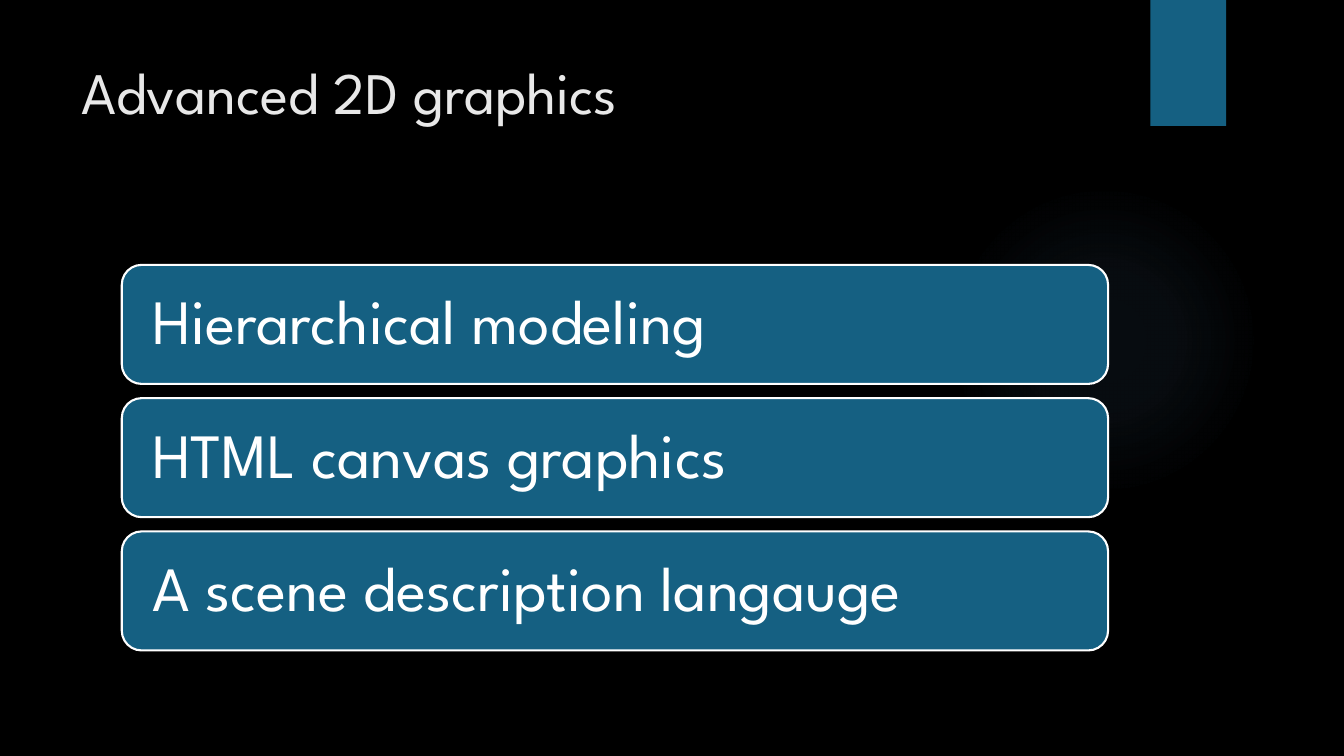
from pptx import Presentation
from pptx.dml.color import RGBColor
from pptx.enum import shapes, text
from pptx.oxml import parse_xml
from pptx.oxml.ns import nsdecls
from pptx.util import Pt

COLORS = {"back": "000000", "blue": "156082", "glow": "71AAE0",
          "title": "E8E8E8", "white": "FFFFFF"}
FONT = "League Spartan"


def color(name):
    return RGBColor.from_string(COLORS[name])


def write(shape, words, size=45, ink="white", anchor=text.MSO_ANCHOR.MIDDLE,
          inset=(7.2, 3.6), spacing=1.0):
    frame = shape.text_frame
    frame.word_wrap = True
    frame.vertical_anchor = anchor
    frame.margin_left = frame.margin_right = Pt(inset[0])
    frame.margin_top = frame.margin_bottom = Pt(inset[1])
    para = frame.paragraphs[0]
    para.alignment = text.PP_ALIGN.LEFT
    para.line_spacing = spacing
    run = para.add_run()
    run.text = words
    run.font.name = FONT
    run.font.size = Pt(size)
    run.font.color.rgb = color(ink)


class Deck:
    def __init__(self, width, height):
        self.prs = Presentation()
        self.prs.slide_width, self.prs.slide_height = Pt(width), Pt(height)
        self.slide = self.prs.slides.add_slide(self.prs.slide_layouts[6])
        fill = self.slide.background.fill
        fill.solid()
        fill.fore_color.rgb = color("back")

    def shape(self, kind, box, fill="blue", line=None):
        item = self.slide.shapes.add_shape(kind, *map(Pt, box))
        item.shadow.inherit = False
        item.fill.solid()
        item.fill.fore_color.rgb = color(fill)
        if line:
            item.line.color.rgb = color(line)
            item.line.width = Pt(1.5)
        else:
            item.line.fill.background()
        return item

    def glow(self, box, stops):
        item = self.shape(shapes.MSO_SHAPE.OVAL, box, "glow")
        marks = "".join(
            f'<a:gs pos="{pos * 1000}"><a:srgbClr val="{COLORS["glow"]}">'
            f'<a:alpha val="{alpha * 1000}"/></a:srgbClr></a:gs>'
            for pos, alpha in stops)
        grad = parse_xml(
            f'<a:gradFill {nsdecls("a")}><a:gsLst>{marks}</a:gsLst>'
            '<a:path path="circle"><a:fillToRect l="50000" t="50000" '
            'r="50000" b="50000"/></a:path></a:gradFill>')
        props = item.element.spPr
        props.replace(props.find("{*}solidFill"), grad)

    def title(self, words, box):
        item = self.slide.shapes.add_textbox(*map(Pt, box))
        write(item, words, size=42, ink="title", anchor=text.MSO_ANCHOR.TOP)

    def card(self, words, box):
        item = self.shape(shapes.MSO_SHAPE.ROUNDED_RECTANGLE, box, line="white")
        write(item, words, inset=(17.5, 13.5), spacing=0.9)


def main():
    deck = Deck(960, 540)

    # Backdrop: soft glow and top tab
    deck.glow((677.5, 131.8, 221.8, 221.8), [(0, 7), (36, 6), (69, 0)])
    deck.shape(shapes.MSO_SHAPE.RECTANGLE, (821.8, 0, 54, 90))

    # Title
    deck.title("Advanced 2D graphics", (51, 36, 741, 110))

    # Topic cards
    topics = ["Hierarchical modeling", "HTML canvas graphics",
              "A scene description langauge"]
    for row, topic in enumerate(topics):
        deck.card(topic, (87, 189.2 + row * 95.2, 704.5, 85))

    deck.prs.save("out.pptx")


if __name__ == "__main__":
    main()
